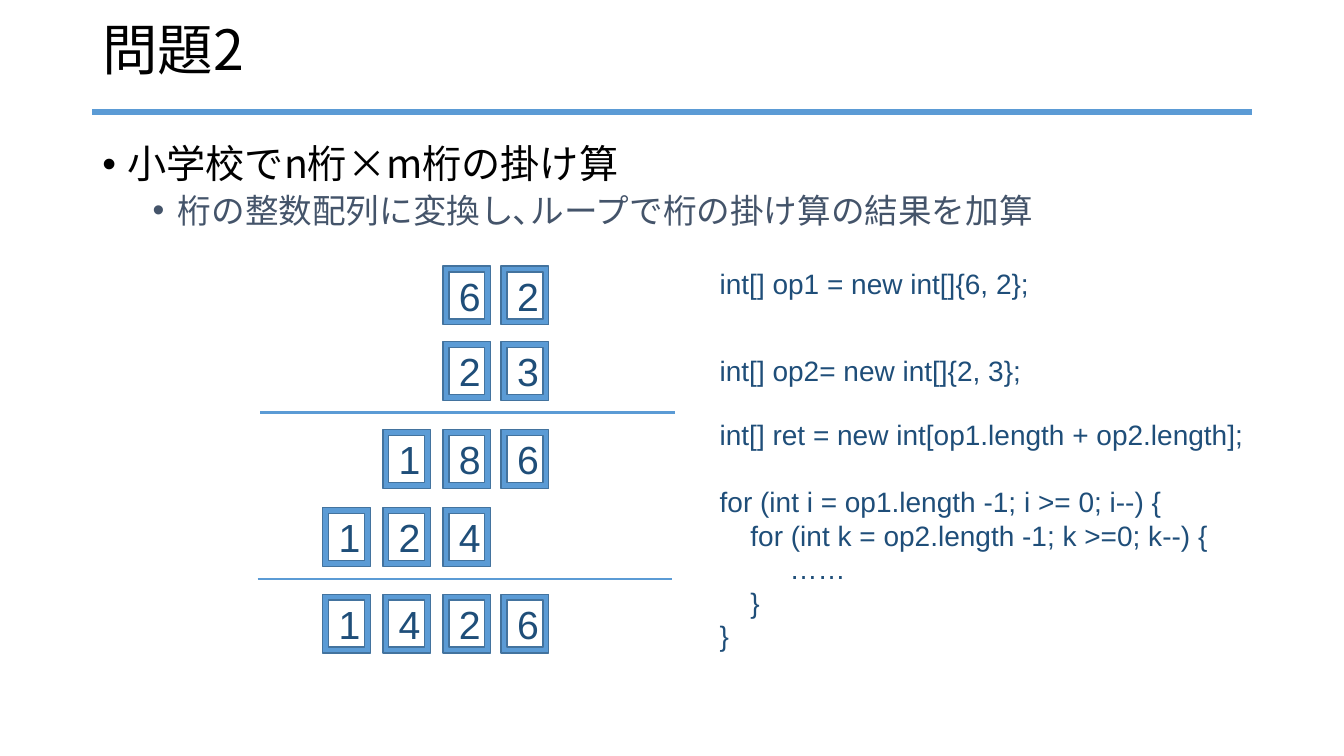
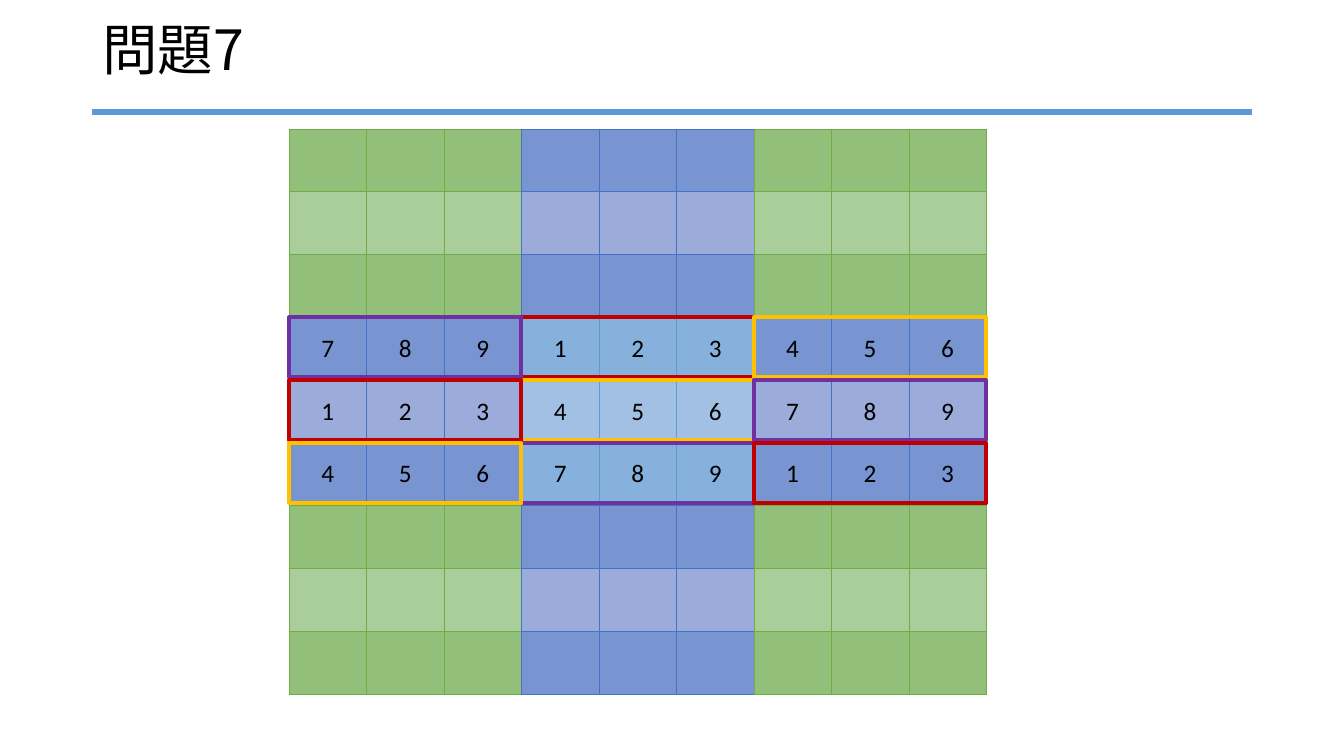
from dataclasses import dataclass

from lxml.etree import SubElement
from pptx import Presentation
from pptx.dml.color import RGBColor as Color
from pptx.enum.shapes import MSO_CONNECTOR as Connector, MSO_SHAPE as Preset
from pptx.enum.text import MSO_ANCHOR as Anchor, PP_ALIGN as Align
from pptx.oxml.ns import qn
from pptx.util import Pt


@dataclass(frozen=True)
class Theme:
    black: str = "000000"
    slate: str = "44546A"
    navy: str = "1F4E79"
    accent: str = "5B9BD5"
    edge: str = "43739E"
    red: str = "C00000"
    gold: str = "FFC000"
    purple: str = "7030A0"
    green_block: tuple = ("70AD47", "92C07A", "A9CE9A")
    blue_block: tuple = ("4472C4", "7895D1", "9BABDA")
    sky_block: tuple = ("5B9BD5", "86B1DC", "A2C0E4")
    japanese: str = "Noto Sans CJK JP"
    latin: str = "Arial"
    numeric: str = "Calibri"
    title_size: float = 39.6
    body_size: float = 28
    detail_size: float = 24
    code_size: float = 20
    cell_size: float = 18


THEME = Theme()


def write(frame, text, *, size, color, font, align=Align.LEFT, spacing=1.0,
          before=0, indent=0, bullet=False):
    para = frame.paragraphs[-1]
    if para.text:
        para = frame.add_paragraph()
    para.alignment = align
    para.line_spacing = spacing
    para.space_before = Pt(before)
    props = para._p.get_or_add_pPr()
    props.set("marL", str(Pt(indent)))
    if bullet:
        props.set("indent", str(Pt(-18)))
        SubElement(props, qn("a:buFont"), typeface="Arial")
        SubElement(props, qn("a:buChar"), char="•")
    span = para.add_run()
    span.text = text
    span.font.size = Pt(size)
    span.font.color.rgb = Color.from_string(color)
    span.font.name = font
    SubElement(span._r.get_or_add_rPr(), qn("a:ea"), typeface=THEME.japanese)


class Sketch:
    def __init__(self, theme):
        self.theme = theme
        self.deck = Presentation()
        self.deck.slide_width = Pt(960)
        self.deck.slide_height = Pt(540)
        self.page = None

    def new_page(self, title):
        self.page = self.deck.slides.add_slide(self.deck.slide_layouts[6])
        self.line(66, 894, 80, 3.75)
        frame = self.text_box(66, 11, 828, 52.5, Anchor.MIDDLE)
        write(frame, title, size=self.theme.title_size, color=self.theme.black,
              font=self.theme.japanese, spacing=0.9)

    def text_box(self, left, top, width, height, anchor=Anchor.TOP):
        box = self.page.shapes.add_textbox(Pt(left), Pt(top), Pt(width), Pt(height))
        frame = box.text_frame
        frame.word_wrap = True
        frame.vertical_anchor = anchor
        return frame

    def line(self, start, end, top, weight):
        rule = self.page.shapes.add_connector(
            Connector.STRAIGHT, Pt(start), Pt(top), Pt(end), Pt(top))
        rule.line.color.rgb = Color.from_string(self.theme.accent)
        rule.line.width = Pt(weight)
        SubElement(rule._element.spPr, qn("a:effectLst"))

    def shape(self, preset, left, top, width, height, line, weight, fill=None):
        shape = self.page.shapes.add_shape(
            preset, Pt(left), Pt(top), Pt(width), Pt(height))
        shape.shadow.inherit = False
        shape.line.color.rgb = Color.from_string(line)
        shape.line.width = Pt(weight)
        if fill:
            shape.fill.solid()
            shape.fill.fore_color.rgb = Color.from_string(fill)
        else:
            shape.fill.background()
        return shape

    def digit(self, text, left, top):
        box = self.shape(Preset.FRAME, left, top, 34, 42, self.theme.edge, 1,
                         self.theme.accent)
        box.text_frame.vertical_anchor = Anchor.MIDDLE
        write(box.text_frame, text, size=self.theme.body_size,
              color=self.theme.navy, font=self.theme.latin, align=Align.CENTER)

    def code(self, top, height, lines):
        frame = self.text_box(507, top, 396, height)
        for text, indent, before in lines:
            write(frame, text, size=self.theme.code_size, color=self.theme.navy,
                  font=self.theme.latin, indent=indent, before=before)

    def block(self, left, top, width, heights, palette, starts=None):
        border, dark, light = palette
        table = self.page.shapes.add_table(
            3, 3, Pt(left), Pt(top), Pt(width), Pt(sum(heights))).table
        table.first_row = table.horz_banding = False
        for column in table.columns:
            column.width = Pt(width / 3)
        for row, height in enumerate(heights):
            table.rows[row].height = Pt(height)
            for column in range(3):
                cell = table.cell(row, column)
                self.borders(cell, border)
                cell.fill.solid()
                cell.fill.fore_color.rgb = Color.from_string(light if row == 1 else dark)
                cell.vertical_anchor = Anchor.MIDDLE
                if starts:
                    write(cell.text_frame, str(starts[row] + column),
                          size=self.theme.cell_size, color=self.theme.black,
                          font=self.theme.numeric, align=Align.CENTER)

    def borders(self, cell, color):
        props = cell._tc.get_or_add_tcPr()
        for side in ("a:lnL", "a:lnR", "a:lnT", "a:lnB"):
            edge = SubElement(props, qn(side), w=str(Pt(0.5)))
            SubElement(SubElement(edge, qn("a:solidFill")), qn("a:srgbClr"), val=color)


def multiplication(sketch):
    theme = sketch.theme
    sketch.new_page("問題2")
    body = sketch.text_box(66, 100, 828, 387)
    write(body, "小学校でn桁×m桁の掛け算", size=theme.body_size, color=theme.black,
          font=theme.japanese, spacing=0.9, before=10, indent=18, bullet=True)
    write(body, "桁の整数配列に変換し､ループで桁の掛け算の結果を加算",
          size=theme.detail_size, color=theme.slate, font=theme.japanese,
          spacing=0.9, before=5, indent=54, bullet=True)

    columns = (230.5, 273.5, 316.5, 358)
    numbers = ((190, 2, "62"), (244, 2, "23"), (307, 1, "186"),
               (362.5, 0, "124"), (424.5, 0, "1426"))
    for top, first, number in numbers:
        for left, text in zip(columns[first:], number):
            sketch.digit(text, left, top)
    sketch.line(186, 482, 294.5, 1.75)
    sketch.line(184, 480, 413.5, 1.75)

    sketch.code(186.5, 32, [("int[] op1 = new int[]{6, 2};", 0, 0)])
    sketch.code(249, 32, [("int[] op2= new int[]{2, 3};", 0, 0)])
    sketch.code(294.5, 177, [
        ("int[] ret = new int[op1.length + op2.length];", 0, 0),
        ("for (int i = op1.length -1; i >= 0; i--) {", 0, 24),
        ("for (int k = op2.length -1; k >=0; k--) {", 22, 0),
        ("……", 50, 0),
        ("}", 22, 0),
        ("}", 0, 0),
    ])


def number_grid(sketch):
    theme = sketch.theme
    sketch.new_page("問題7")
    left, top, width, heights = 206.5, 92, 166, (45, 44.8, 44.8)
    height = sum(heights)
    palettes = (theme.green_block, theme.blue_block, theme.sky_block)
    middle_starts = ((7, 1, 4), (1, 4, 7), (4, 7, 1))
    for row in range(3):
        for column in range(3):
            palette = palettes[(row == 1) + (column == 1)]
            starts = middle_starts[column] if row == 1 else None
            sketch.block(left + column * width, top + row * height, width,
                         heights, palette, starts)

    outlines = {1: theme.red, 4: theme.gold, 7: theme.purple}
    for column in (1, 0, 2):
        for row, start in enumerate(middle_starts[column]):
            sketch.shape(Preset.RECTANGLE, left + column * width,
                         top + height + row * 45, width, 43, outlines[start], 2.75)


def main():
    sketch = Sketch(THEME)
    multiplication(sketch)
    number_grid(sketch)
    sketch.deck.save("out.pptx")


if __name__ == "__main__":
    main()
